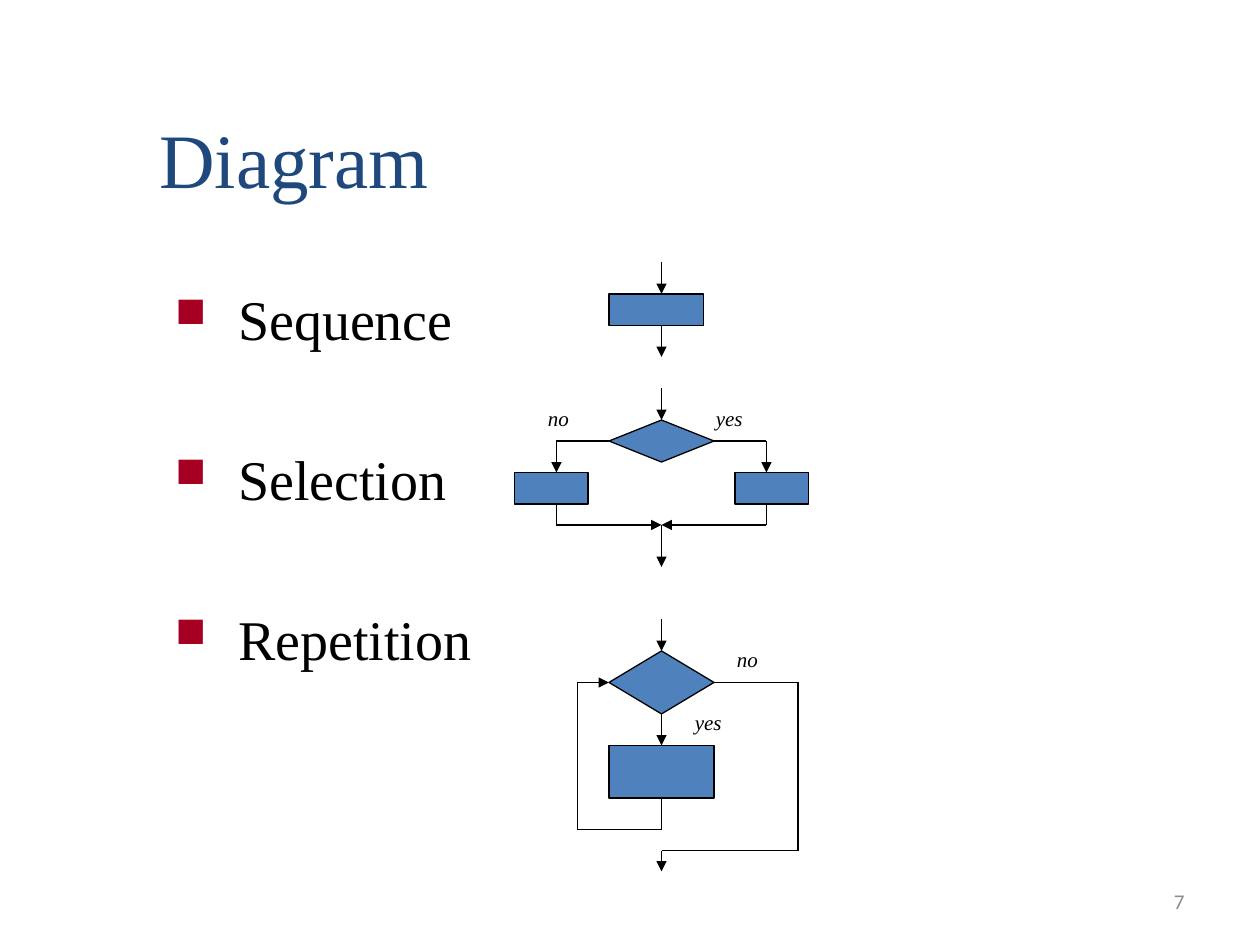
import pptx
import pptx.util
import pptx.dml.color
import pptx.enum.shapes
import pptx.enum.text
import pptx.oxml
import pptx.oxml.ns

SHAPE = pptx.enum.shapes.MSO_SHAPE
ANCHOR = pptx.enum.text.MSO_ANCHOR
ALIGN = pptx.enum.text.PP_ALIGN
TOP, LEFT, BOTTOM, RIGHT = range(4)
UNIT = pptx.util.Inches(1) / 12
SERIF = "Times New Roman"


def grid(n):
    return pptx.util.Emu(round(n * UNIT))


def color(value):
    return pptx.dml.color.RGBColor.from_string(value)


def set_line(shape):
    shape.line.color.rgb = color("000000")
    shape.line.width = pptx.util.Pt(0.75)


def add_xml(parent, tag, **attributes):
    child = pptx.oxml.parse_xml(f"<a:{tag} {pptx.oxml.ns.nsdecls('a')}/>")
    for name, value in attributes.items():
        child.set(name, value)
    parent.append(child)
    return child


def add_text(shapes, box, text, size, fill, font=SERIF, italic=None,
             anchor=ANCHOR.TOP, align=None):
    sp = shapes.add_textbox(*map(grid, box))
    tf = sp.text_frame
    tf.word_wrap = True
    tf.vertical_anchor = anchor
    tf.text = text
    for p in tf.paragraphs:
        p.alignment = align
        for r in p.runs:
            r.font.name = font
            r.font.size = pptx.util.Pt(size)
            r.font.italic = italic
            r.font.color.rgb = color(fill)
    return sp


class Flow:
    def __init__(self, shapes, left, top):
        self.shapes, self.left, self.top = shapes, left, top

    def node(self, kind, x, y, w, h):
        sp = self.shapes.add_shape(
            kind, *map(grid, (self.left + x, self.top + y, w, h)))
        sp.shadow.inherit = False
        sp.fill.solid()
        sp.fill.fore_color.rgb = color("4F81BD")
        set_line(sp)
        return sp

    def path_line(self, *points, arrow=True, begin=None, end=None):
        segments = list(zip(points, points[1:]))
        lines = []
        for (x1, y1), (x2, y2) in segments:
            line = self.shapes.add_connector(
                pptx.enum.shapes.MSO_CONNECTOR.STRAIGHT,
                grid(self.left + x1), grid(self.top + y1),
                grid(self.left + x2), grid(self.top + y2))
            set_line(line)
            lines.append(line)
        if arrow:
            add_xml(lines[-1].line._get_or_add_ln(), "tailEnd", type="triangle")
        for line in lines:
            add_xml(line._element.spPr, "effectLst")
        if begin:
            lines[0].begin_connect(*begin)
        if end:
            lines[-1].end_connect(*end)

    def label(self, text, x, y):
        add_text(self.shapes, (self.left + x, self.top + y, 7, 3.6),
                 text, 12, "000000", italic=True)


def add_sequence(shapes, left, top):
    flow = Flow(shapes, left, top)
    flow.node(SHAPE.FLOWCHART_PROCESS, 0, 3, 9, 3)
    flow.path_line((5, 0), (5, 3))
    flow.path_line((5, 6), (5, 9))


def add_selection(shapes, left, top):
    flow = Flow(shapes.add_group_shape().shapes, left, top)
    test = flow.node(SHAPE.FLOWCHART_DECISION, 9, 4 - 1, 10, 4)
    flow.path_line((14, 0), (14, 3), end=(test, TOP))
    for box_x, side_x, x, side in ((0, 9, 4, LEFT), (21, 19, 24, RIGHT)):
        flow.node(SHAPE.FLOWCHART_PROCESS, box_x, 8, 7, 3)
        flow.path_line((side_x, 5), (x, 5), (x, 8), begin=(test, side))
        flow.path_line((x, 11), (x, 13), (14, 13))
    flow.path_line((14, 13), (14, 17))
    flow.label("yes", 18, 1)
    flow.label("no", 2, 1)


def add_repetition(shapes, left, top):
    flow = Flow(shapes.add_group_shape().shapes, left, top)
    test = flow.node(SHAPE.FLOWCHART_DECISION, 3, 3, 10, 6)
    body = flow.node(SHAPE.FLOWCHART_PROCESS, 3, 12, 10, 5)
    flow.path_line((8, 0), (8, 3), end=(test, TOP))
    flow.path_line((8, 9), (8, 12), begin=(test, BOTTOM), end=(body, TOP))
    flow.path_line((8, 17), (8, 20), (0, 20), (0, 6), (3, 6),
                   begin=(body, BOTTOM), end=(test, LEFT))
    flow.path_line((13, 6), (21, 6), (21, 22), (8, 22), (8, 24),
                   begin=(test, RIGHT))
    flow.label("yes", 10, 8)
    flow.label("no", 14, 2)


def add_bullets(shapes, box, items):
    sp = add_text(shapes, box, "\n".join(items), 32, "000000")
    indent = pptx.util.Inches(0.5)
    for i, p in enumerate(sp.text_frame.paragraphs):
        p.space_before = pptx.util.Pt(53 if i else 4)
        pPr = p._p.get_or_add_pPr()
        pPr.set("marL", str(indent))
        pPr.set("indent", str(-indent))
        add_xml(add_xml(pPr, "buClr"), "srgbClr", val="A50021")
        add_xml(pPr, "buSzPct", val="75000")
        add_xml(pPr, "buChar", char="■")


def main():
    prs = pptx.Presentation()
    prs.slide_width = grid(120)
    prs.slide_height = grid(90)
    s = prs.slides.add_slide(prs.slide_layouts[6])
    add_text(s.shapes, (86, 83.4, 28, 4.8), "7", 12, "8C8C8C", font="Calibri",
             anchor=ANCHOR.MIDDLE, align=ALIGN.RIGHT)
    add_bullets(s.shapes, (15.5, 26.5, 31.5, 54),
                ("Sequence", "Selection", "Repetition"))
    add_sequence(s.shapes, 58, 25)
    add_selection(s.shapes, 49, 37)
    add_repetition(s.shapes, 55, 59)
    add_text(s.shapes, (14, 14, 102, 6), "Diagram", 44, "1F497D",
             anchor=ANCHOR.BOTTOM)
    prs.save("out.pptx")


if __name__ == "__main__":
    main()
